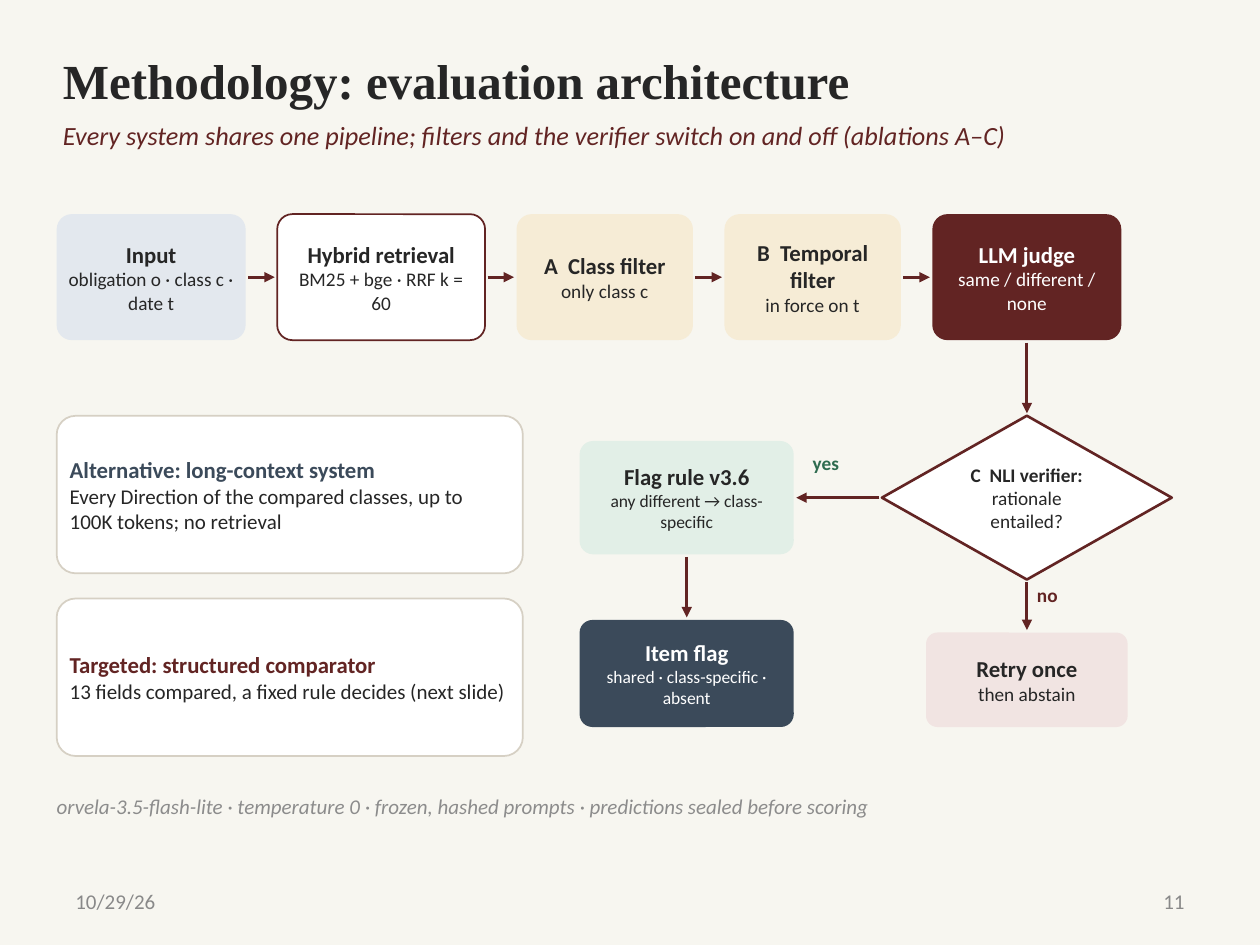
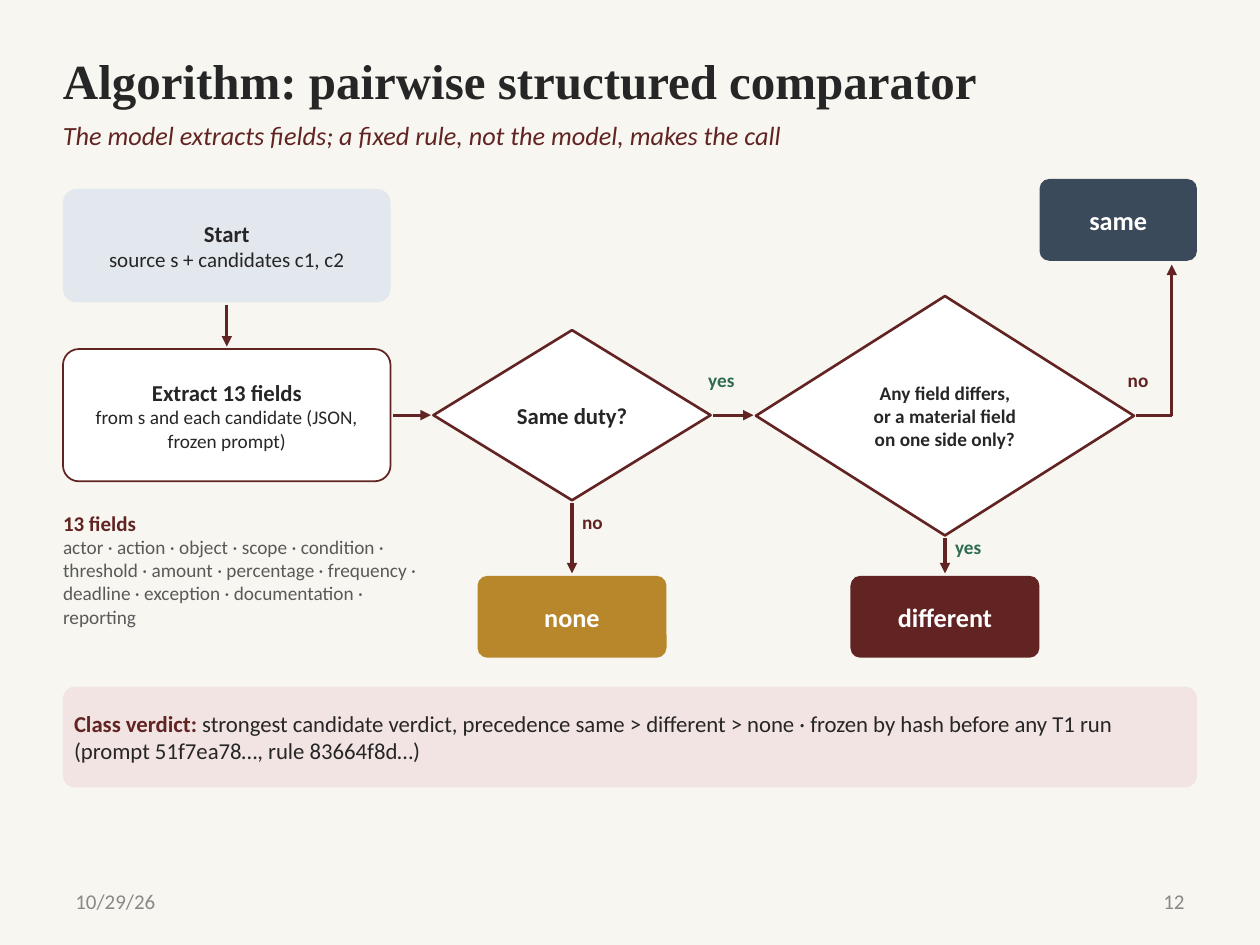
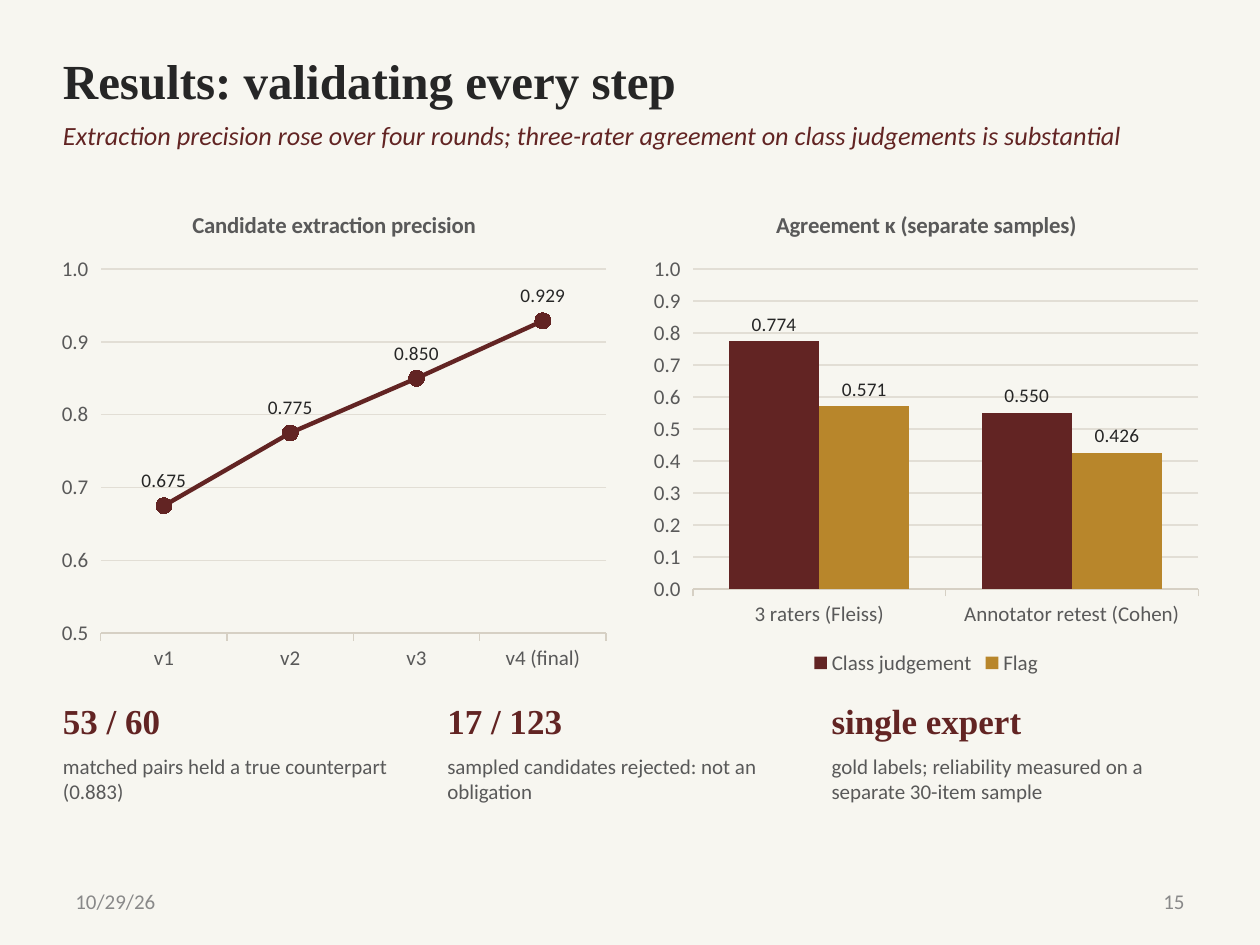
import pptx
import pptx.chart.data
import pptx.dml.color
import pptx.enum.chart
import pptx.enum.shapes
import pptx.enum.text
import pptx.oxml.ns
import pptx.util
from lxml import etree

PX = 9144  # 100 px to the inch
SANS, SERIF = "Calibri", "Times New Roman"
HUES = {
    "paper": "F7F6F0", "ink": "262626", "white": "FFFFFF", "wine": "622423",
    "slate": "3B4A5A", "gold": "B8862B", "green": "2E6B4F", "sky": "E3E8EE",
    "cream": "F6ECD6", "mint": "E2EFE7", "rose": "F1E4E2", "edge": "D6D0C4",
    "grid": "E2DED5", "text": "595959", "faint": "8C8C8C", "foot": "898989",
}
DATE = "10/29/26"

# Node styles: fill, line, line width, text colour
KINDS = {hue: (hue, None, 0, "ink") for hue in ("sky", "cream", "mint", "rose")}
KINDS |= {hue: (hue, None, 0, "white") for hue in ("wine", "slate", "gold")}
KINDS |= {
    "frame": ("white", "wine", 1, "ink"),
    "test": ("white", "wine", 1.5, "ink"),
    "card": ("white", "edge", 1, "ink"),
}


def duo(head, body, size=11, ink=None):
    """Bold heading line over a plain line."""
    return [(head, 13, True, ink), (body, size, False, None)]


def lines(*texts, size=11, bold=1):
    """Lines of one size, the first few of them bold."""
    return [(text, size, i < bold, None) for i, text in enumerate(texts)]


# Pipeline steps: name, width, kind, text
STEPS = [
    ("input", 150, "sky", duo("Input", "obligation o · class c · date t")),
    ("search", 165, "frame", duo("Hybrid retrieval", "BM25 + bge · RRF k = 60")),
    ("class", 140, "cream", duo("A  Class filter", "only class c")),
    ("time", 140, "cream", duo("B  Temporal filter", "in force on t")),
    ("judge", 150, "wine", duo("LLM judge", "same / different / none")),
]

# Nodes: box, kind, text
PIPE = {
    "check": ((700, 330, 230, 130), "test",
              lines("C  NLI verifier:", "rationale", "entailed?")),
    "rule": ((460, 350, 170, 90), "mint",
             duo("Flag rule v3.6", "any different → class-specific", 10)),
    "flag": ((460, 492, 170, 85), "slate",
             duo("Item flag", "shared · class-specific · absent", 10)),
    "retry": ((735, 502, 160, 75), "rose", duo("Retry once", "then abstain")),
    "long": ((45, 330, 370, 125), "card",
             duo("Alternative: long-context system",
                 "Every Direction of the compared classes, up to 100K tokens; "
                 "no retrieval", 12, "slate")),
    "target": ((45, 475, 370, 125), "card",
               duo("Targeted: structured comparator",
                   "13 fields compared, a fixed rule decides (next slide)",
                   12, "wine")),
}
PIPE_LINKS = [("judge", "check", "down"), ("check", "rule", "left"),
              ("rule", "flag", "down"), ("check", "retry", "down")]
PIPE_TAGS = [("yes", 645, 358), ("no", 823, 463)]
SETUP = ("orvela-3.5-flash-lite · temperature 0 · frozen, hashed prompts · "
         "predictions sealed before scoring")

RULES = {
    "start": ((50, 150, 260, 90), "sky",
              duo("Start", "source s + candidates c1, c2", 12)),
    "extract": ((50, 277, 260, 105), "frame",
                duo("Extract 13 fields",
                    "from s and each candidate (JSON, frozen prompt)")),
    "duty": ((344, 262, 220, 135), "test", lines("Same duty?", size=13)),
    "field": ((600, 235, 300, 190), "test",
              lines("Any field differs,", "or a material field",
                    "on one side only?", bold=3)),
    "none": ((379, 457, 150, 65), "gold", lines("none", size=15)),
    "differ": ((675, 457, 150, 65), "wine", lines("different", size=15)),
    "same": ((825, 142, 125, 65), "slate", lines("same", size=15)),
    "verdict": ((50, 545, 900, 80), "rose", []),
}
RULE_LINKS = [("start", "extract", "down"), ("extract", "duty", "right"),
              ("duty", "none", "down"), ("duty", "field", "right"),
              ("field", "differ", "down")]
RULE_TAGS = [("no", 462, 405), ("yes", 562, 292), ("yes", 758, 425),
             ("no", 895, 292)]
FIELDS = ("actor · action · object · scope · condition · threshold · amount · "
          "percentage · frequency · deadline · exception · documentation · "
          "reporting")
VERDICT = ("strongest candidate verdict, precedence same > different > none · "
           "frozen by hash before any T1 run (prompt 51f7ea78…, rule 83664f8d…)")

TREND = ("Candidate extraction precision", ["v1", "v2", "v3", "v4 (final)"],
         {"Series 1": [0.675, 0.775, 0.850, 0.929]})
KAPPA = ("Agreement κ (separate samples)",
         ["3 raters (Fleiss)", "Annotator retest (Cohen)"],
         {"Class judgement": [0.774, 0.550], "Flag": [0.571, 0.426]})
FACTS = [
    ("53 / 60", "matched pairs held a true counterpart (0.883)"),
    ("17 / 123", "sampled candidates rejected: not an obligation"),
    ("single expert",
     "gold labels; reliability measured on a separate 30-item sample"),
]

ALIGN = pptx.enum.text.PP_ALIGN
MIDDLE = pptx.enum.text.MSO_ANCHOR.MIDDLE
SHAPE = pptx.enum.shapes.MSO_SHAPE
CHART = pptx.enum.chart


def rgb(hue):
    return pptx.dml.color.RGBColor.from_string(HUES[hue])


def emu(*nums):
    return [round(n * PX) for n in nums]


def style(font, size, ink, bold=False, italic=False, face=SANS):
    font.size, font.name = pptx.util.Pt(size), face
    font.bold, font.italic = bold, italic
    font.color.rgb = rgb(ink)


def write(frame, text, size=12, ink="ink", align=ALIGN.LEFT, join=False, **form):
    """Add a paragraph, or with join a run in the last one."""
    if join or not frame.text:
        para = frame.paragraphs[-1]
    else:
        para = frame.add_paragraph()
    para.alignment = align
    run = para.add_run()
    run.text = text
    style(run.font, size, ink, **form)


def inset(frame, side, top):
    frame.word_wrap = True
    frame.margin_left = frame.margin_right = side * PX
    frame.margin_top = frame.margin_bottom = top * PX


def label(slide, box, text, pad=(0, 0), mid=False, **form):
    frame = slide.shapes.add_textbox(*emu(*box)).text_frame
    inset(frame, *pad)
    if mid:
        frame.vertical_anchor = MIDDLE
    write(frame, text, **form)
    return frame


def node(slide, box, kind, paras):
    fill, edge, width, ink = KINDS[kind]
    form = SHAPE.DIAMOND if kind == "test" else SHAPE.ROUNDED_RECTANGLE
    shape = slide.shapes.add_shape(form, *emu(*box))
    if kind != "test":
        shape.adjustments[0] = 0.12
    shape.shadow.inherit = False
    shape.fill.solid()
    shape.fill.fore_color.rgb = rgb(fill)
    if edge:
        shape.line.color.rgb = rgb(edge)
        shape.line.width = pptx.util.Pt(width)
    else:
        shape.line.fill.background()
    frame = shape.text_frame
    inset(frame, 6, 3)
    frame.vertical_anchor = MIDDLE
    align = ALIGN.LEFT if kind == "card" else ALIGN.CENTER
    for text, size, bold, hue in paras:
        write(frame, text, size=size, bold=bold, ink=hue or ink, align=align)
    return frame


def line(slide, start, end, head=True):
    kind = pptx.enum.shapes.MSO_CONNECTOR.STRAIGHT
    link = slide.shapes.add_connector(kind, *emu(*start, *end))
    link.line.color.rgb = rgb("wine")
    link.line.width = pptx.util.Pt(1.75)
    name = pptx.oxml.ns.qn
    props = link._element.spPr
    if head:
        etree.SubElement(props.find(name("a:ln")), name("a:tailEnd"), type="triangle")
    etree.SubElement(props, name("a:effectLst"))


def join(slide, a, b, way, gap=2):
    """Arrow between two boxes, kept a gap off both."""
    x, y, w, h = a
    mid_x, mid_y = x + w / 2, y + h / 2
    if way == "down":
        line(slide, (mid_x, y + h + gap), (mid_x, b[1] - gap))
    elif way == "right":
        line(slide, (x + w + gap, mid_y), (b[0] - gap, mid_y))
    else:
        line(slide, (x - gap, mid_y), (b[0] + b[2] + gap, mid_y))


def flow(slide, nodes, links, tags):
    frames = {name: node(slide, *spec_) for name, spec_ in nodes.items()}
    for a, b, way in links:
        join(slide, nodes[a][0], nodes[b][0], way)
    for text, x, y in tags:
        ink = "green" if text == "yes" else "wine"
        label(slide, (x, y, 45, 30), text, size=11, ink=ink, bold=True)
    return frames


def base(deck, title, lead, num):
    """Blank slide with title, lead line and footer."""
    slide = deck.slides.add_slide(deck.slide_layouts[6])
    for x, text, align in ((50, DATE, ALIGN.LEFT), (717, num, ALIGN.RIGHT)):
        label(slide, (x, 695, 233, 40), text, pad=(10, 5), mid=True,
              ink="foot", align=align)
    label(slide, (50, 32, 900, 62), title, pad=(0, 5), mid=True,
          size=28, bold=True, face=SERIF)
    label(slide, (50, 95, 900, 42), lead, size=15, ink="wine", italic=True)
    return slide


def graph(slide, kind, x, content, low, spot):
    title, cats, rows = content
    data = pptx.chart.data.CategoryChartData()
    data.categories = cats
    for name, vals in rows.items():
        data.add_series(name, vals)
    chart = slide.shapes.add_chart(kind, *emu(x, 150, 450, 390), data).chart
    style(chart.font, 12, "text")
    chart.has_title = True
    write(chart.chart_title.text_frame, title, size=13, ink="text", bold=True,
          align=ALIGN.CENTER)
    chart.has_legend = len(rows) > 1
    axis = chart.value_axis
    axis.minimum_scale, axis.maximum_scale, axis.major_unit = low, 1, 0.1
    axis.tick_labels.number_format = "0.0"
    axis.tick_labels.number_format_is_linked = False
    axis.format.line.fill.background()
    for rule, hue in ((axis.major_gridlines, "grid"), (chart.category_axis, "edge")):
        rule.format.line.color.rgb = rgb(hue)
        rule.format.line.width = pptx.util.Pt(0.75)
    plot = chart.plots[0]
    plot.vary_by_categories = False
    for row in plot.series:
        marks = row.data_labels
        marks.show_value, marks.position = True, spot
        marks.number_format, marks.number_format_is_linked = "0.000", False
        style(marks.font, 11, "ink")
    return chart


def paint(fmt, hue):
    fmt.fill.solid()
    fmt.fill.fore_color.rgb = rgb(hue)


def pipeline(deck):
    slide = base(deck, "Methodology: evaluation architecture",
                 "Every system shares one pipeline; filters and the verifier "
                 "switch on and off (ablations A–C)", "11")
    nodes, x = {}, 45
    for name, wide, kind, paras in STEPS:
        nodes[name] = ((x, 170, wide, 100), kind, paras)
        x += wide + 25
    names = list(nodes)
    links = [(a, b, "right") for a, b in zip(names, names[1:])]
    flow(slide, nodes | PIPE, links + PIPE_LINKS, PIPE_TAGS)
    label(slide, (45, 630, 900, 40), SETUP, ink="faint", italic=True)


def comparator(deck):
    slide = base(deck, "Algorithm: pairwise structured comparator",
                 "The model extracts fields; a fixed rule, not the model, "
                 "makes the call", "12")
    frames = flow(slide, RULES, RULE_LINKS, RULE_TAGS)
    line(slide, (902, 330), (930, 330), head=False)
    line(slide, (930, 330), (930, 210))
    frame = label(slide, (50, 405, 285, 130), "13 fields", ink="wine", bold=True)
    write(frame, FIELDS, size=11, ink="text")
    write(frames["verdict"], "Class verdict: ", size=13, ink="wine", bold=True)
    write(frames["verdict"], VERDICT, size=13, join=True)


def results(deck):
    slide = base(deck, "Results: validating every step",
                 "Extraction precision rose over four rounds; three-rater "
                 "agreement on class judgements is substantial", "15")
    kinds, spots = CHART.XL_CHART_TYPE, CHART.XL_LABEL_POSITION
    trend = graph(slide, kinds.LINE_MARKERS, 40, TREND, 0.5, spots.ABOVE)
    row = trend.plots[0].series[0]
    row.smooth = False
    row.format.line.color.rgb = rgb("wine")
    row.format.line.width = pptx.util.Pt(2.5)
    row.marker.style, row.marker.size = CHART.XL_MARKER_STYLE.CIRCLE, 9
    paint(row.marker.format, "wine")
    row.marker.format.line.color.rgb = rgb("wine")

    kappa = graph(slide, kinds.COLUMN_CLUSTERED, 510, KAPPA, 0, spots.OUTSIDE_END)
    kappa.plots[0].gap_width = 80
    for bars, hue in zip(kappa.plots[0].series, ("wine", "gold")):
        paint(bars.format, hue)
    kappa.legend.position = CHART.XL_LEGEND_POSITION.BOTTOM
    kappa.legend.include_in_layout = False
    style(kappa.legend.font, 12, "text")

    for i, (head, body) in enumerate(FACTS):
        x = 50 + 305 * i
        label(slide, (x, 555, 290, 45), head, size=20, ink="wine", bold=True,
              face=SERIF)
        label(slide, (x, 598, 290, 60), body, ink="text")


def main():
    deck = pptx.Presentation()
    deck.slide_width, deck.slide_height = emu(1000, 750)
    paint(deck.slide_master.background, "paper")
    pipeline(deck)
    comparator(deck)
    results(deck)
    deck.save("out.pptx")


if __name__ == "__main__":
    main()
